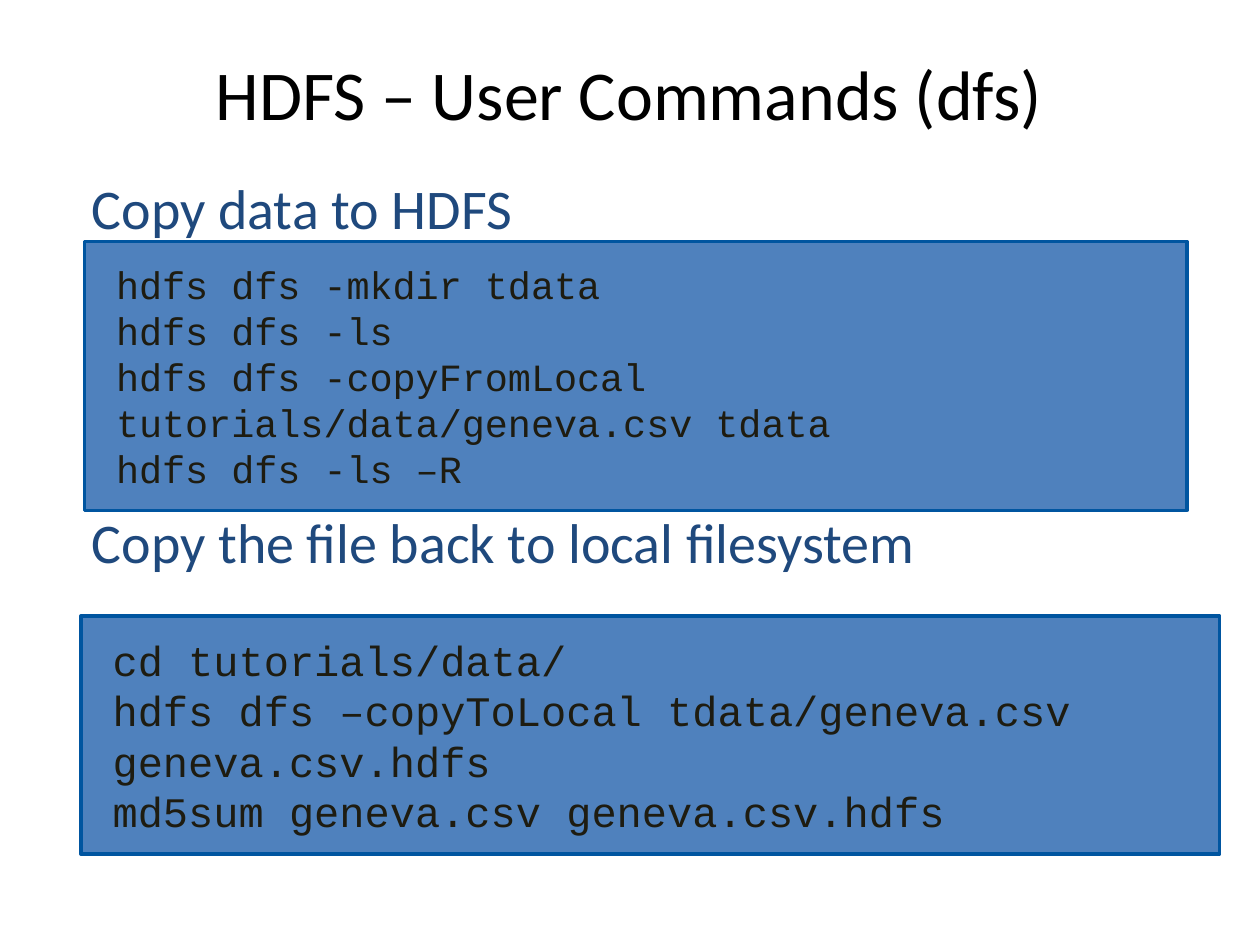
"""Build the slide on HDFS user commands for copying data in and out."""
from pptx import Presentation
from pptx.dml.color import RGBColor
from pptx.enum.shapes import MSO_SHAPE
from pptx.enum.text import MSO_ANCHOR, PP_ALIGN
from pptx.util import Cm, Pt

COLORS = {
    "title": "000000",
    "heading": "1F497D",
    "code": "1E1C11",
    "panel": "4F81BD",
    "border": "0055A0",
}


def write_text(shape, text, font, size, color, align=PP_ALIGN.LEFT):
    frame = shape.text_frame
    frame.text = text
    frame.word_wrap = True
    frame.vertical_anchor = MSO_ANCHOR.MIDDLE
    for paragraph in frame.paragraphs:
        paragraph.alignment = align
        for run in paragraph.runs:
            run.font.name = font
            run.font.size = Pt(size)
            run.font.color.rgb = RGBColor.from_string(COLORS[color])


presentation = Presentation()
presentation.slide_width = Cm(25.4)
presentation.slide_height = Cm(19.05)
slide = presentation.slides.add_slide(presentation.slide_layouts[6])

title = slide.shapes.add_textbox(Cm(1.25), Cm(0.56), Cm(22.86), Cm(2.62))
write_text(title, "HDFS – User Commands (dfs)", "Calibri", 40, "title", PP_ALIGN.CENTER)

headings = [
    ("Copy data to HDFS", 3.37),
    ("Copy the file back to local filesystem", 10.1),
]
for text, top in headings:
    heading = slide.shapes.add_textbox(Cm(1.6), Cm(top), Cm(23.2), Cm(1.6))
    write_text(heading, text, "Calibri", 32, "heading")

upload_commands = [
    "hdfs dfs -mkdir tdata",
    "hdfs dfs -ls",
    "hdfs dfs -copyFromLocal tutorials/data/geneva.csv tdata",
    "hdfs dfs -ls –R",
]
download_commands = [
    "cd tutorials/data/",
    "hdfs dfs –copyToLocal tdata/geneva.csv geneva.csv.hdfs",
    "md5sum geneva.csv geneva.csv.hdfs",
]
panels = [
    (upload_commands, 22, (1.7, 4.87, 22.23, 5.42)),
    (download_commands, 24, (1.63, 12.42, 22.96, 4.8)),
]
for commands, size, bounds in panels:
    panel = slide.shapes.add_shape(MSO_SHAPE.RECTANGLE, *map(Cm, bounds))
    panel.shadow.inherit = False
    panel.fill.solid()
    panel.fill.fore_color.rgb = RGBColor.from_string(COLORS["panel"])
    panel.line.color.rgb = RGBColor.from_string(COLORS["border"])
    panel.line.width = Pt(2)
    panel.text_frame.margin_left = Cm(0.64)
    panel.text_frame.margin_right = Cm(0.51)
    panel.text_frame.margin_top = panel.text_frame.margin_bottom = Cm(0.36)
    write_text(panel, "\n".join(commands), "Courier New", size, "code")

presentation.save("out.pptx")
